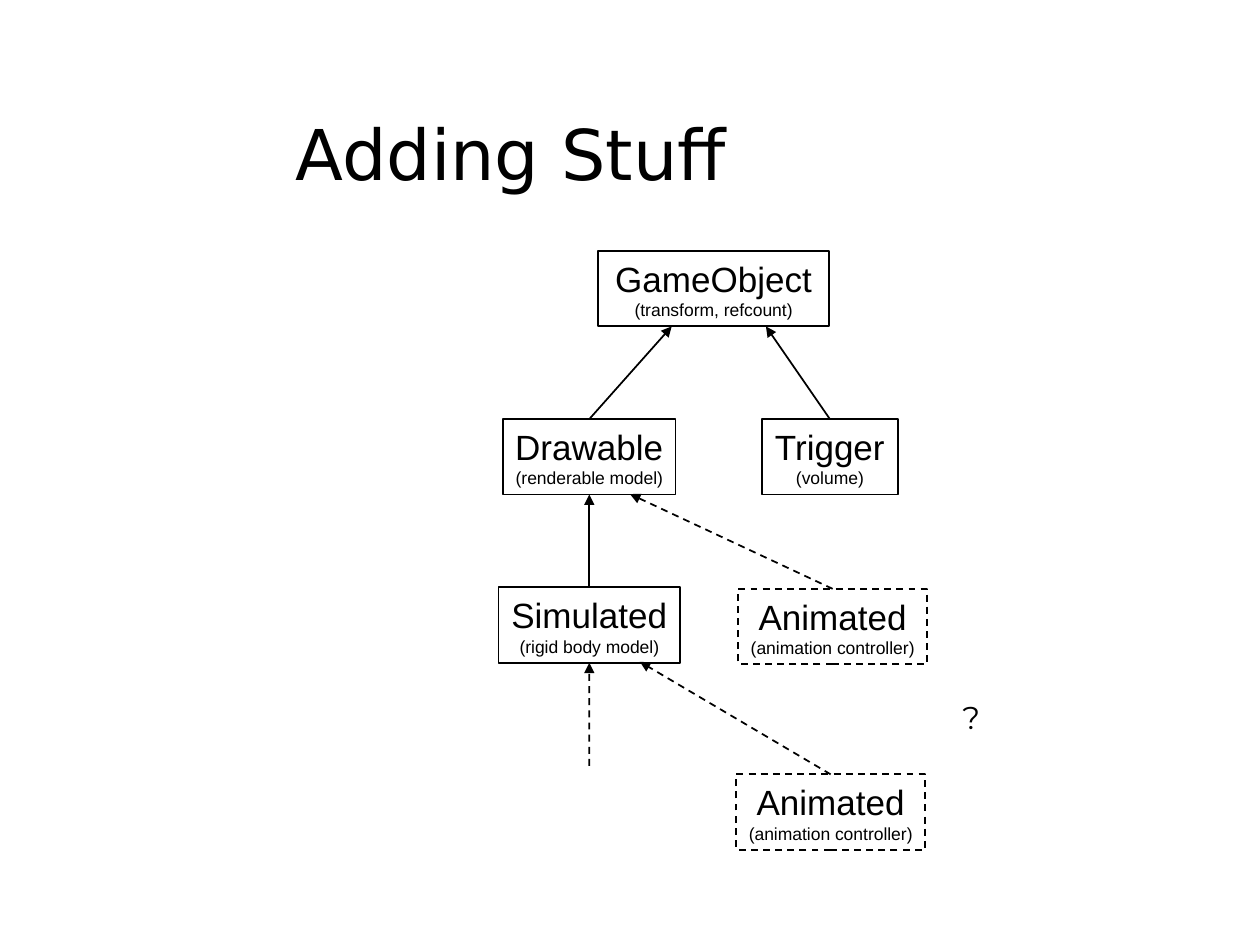
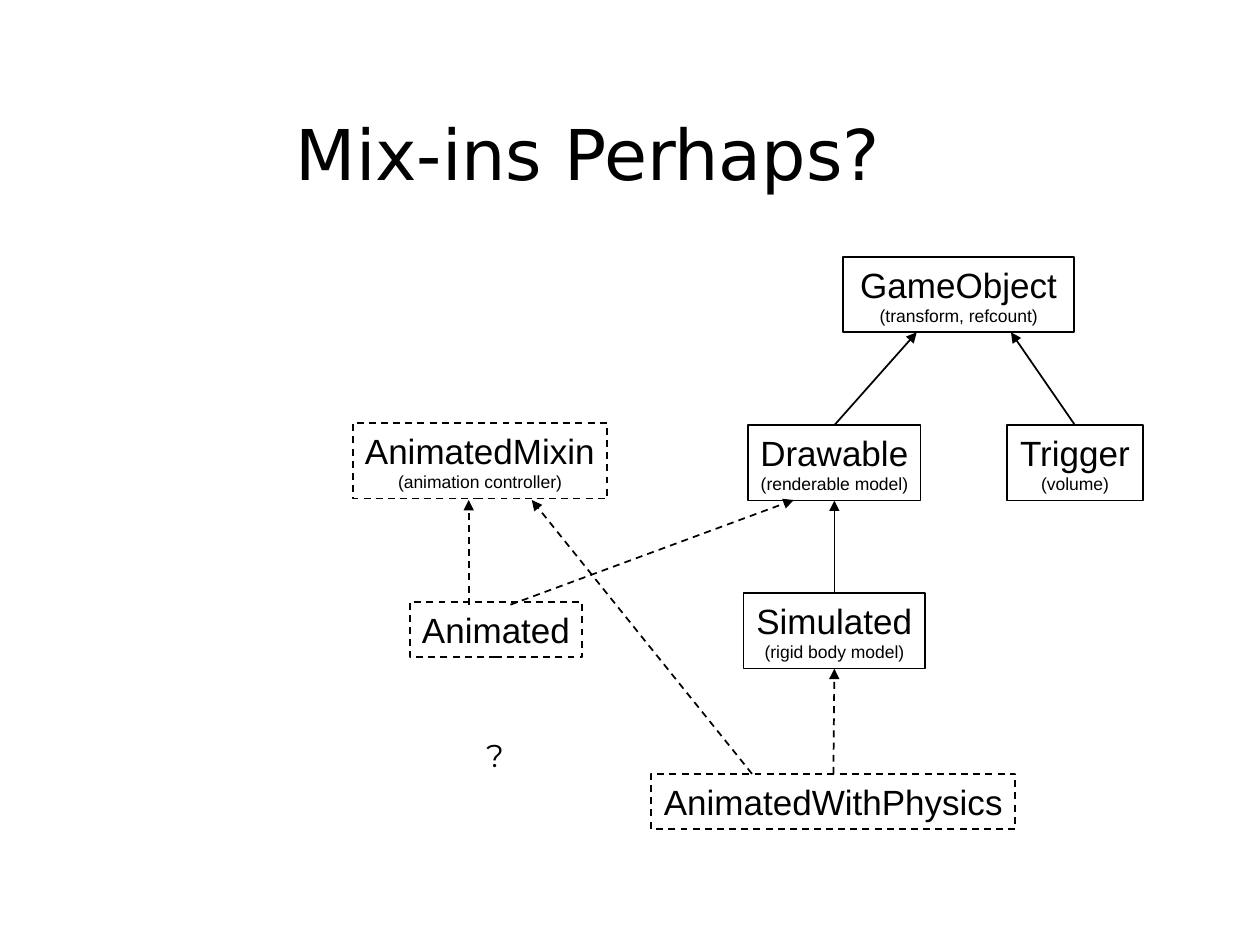
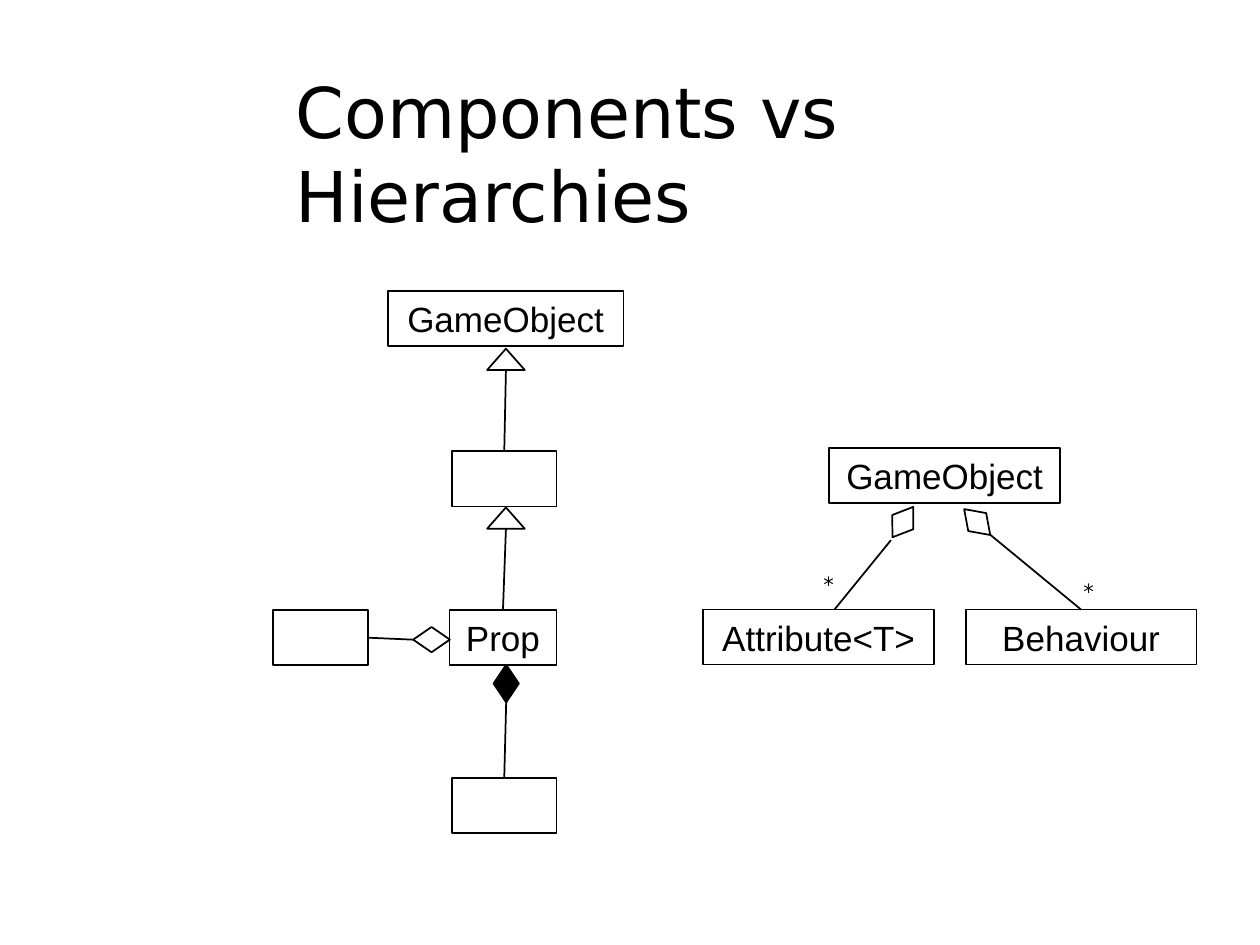
from dataclasses import dataclass

import pptx
import pptx.dml.color
import pptx.enum.dml
import pptx.enum.shapes
import pptx.enum.text
import pptx.oxml.ns
import pptx.util
from lxml import etree

Cm = pptx.util.Cm
Pt = pptx.util.Pt
PRESETS = pptx.enum.shapes.MSO_SHAPE
ALIGN = pptx.enum.text.PP_ALIGN
ANCHOR = pptx.enum.text.MSO_ANCHOR
AUTO_SIZE = pptx.enum.text.MSO_AUTO_SIZE
TOP, LEFT, BOTTOM, RIGHT = range(4)


@dataclass(frozen=True)
class Theme:
    ink: pptx.dml.color.RGBColor = pptx.dml.color.RGBColor(0, 0, 0)
    title_font: str = "DejaVu Sans"
    class_font: str = "Arial"
    query_font: str = "Montserrat"
    title_size: int = 40
    class_size: int = 20
    query_size: int = 18
    star_size: int = 12
    detail_size: int = 10
    line_width: int = 1
    row: float = 1.52       # height in cm of a class box with a detail line
    short_row: float = 1.11  # height in cm of a class box with a name only
    side_inset: float = 0.2


THEME = Theme()


# Shared parts
def qn(tag):
    return pptx.oxml.ns.qn(tag)


def style_text(paragraph, font, size, align=ALIGN.LEFT):
    paragraph.alignment = align
    for run in paragraph.runs:
        run.font.name = font
        run.font.size = Pt(size)
        run.font.color.rgb = THEME.ink


def style_line(line, dashed=False):
    line.color.rgb = THEME.ink
    line.width = Pt(THEME.line_width)
    if dashed:
        line.dash_style = pptx.enum.dml.MSO_LINE.DASH


def add_title_slide(deck, title):
    slide = deck.slides.add_slide(deck.slide_layouts[5])
    heading = slide.shapes.title
    heading.left, heading.top = Cm(5.71), Cm(1.07)
    heading.width, heading.height = Cm(19.05), Cm(4.01)
    frame = heading.text_frame
    frame.text = title
    frame.word_wrap = True
    frame.auto_size = AUTO_SIZE.NONE
    frame.vertical_anchor = ANCHOR.MIDDLE
    style_text(frame.paragraphs[0], THEME.title_font, THEME.title_size)
    return slide


def add_symbol(slide, preset, left, top, width, height, filled=False, dashed=False):
    symbol = slide.shapes.add_shape(preset, Cm(left), Cm(top), Cm(width), Cm(height))
    symbol.shadow.inherit = False
    if filled:
        symbol.fill.solid()
        symbol.fill.fore_color.rgb = THEME.ink
    else:
        symbol.fill.background()
    style_line(symbol.line, dashed)
    return symbol


def add_class(slide, left, top, width, name="", detail="", dashed=False):
    height = THEME.row if detail else THEME.short_row
    box = add_symbol(slide, PRESETS.RECTANGLE, left, top, width, height, dashed=dashed)
    if not name:
        return box
    frame = box.text_frame
    frame.text = f"{name}\n{detail}" if detail else name
    frame.word_wrap = True
    frame.auto_size = AUTO_SIZE.SHAPE_TO_FIT_TEXT
    frame.vertical_anchor = ANCHOR.MIDDLE
    frame.margin_left = frame.margin_right = Cm(THEME.side_inset)
    for paragraph, size in zip(frame.paragraphs, (THEME.class_size, THEME.detail_size)):
        style_text(paragraph, THEME.class_font, size, ALIGN.CENTER)
    return box


def add_link(slide, start, end, dashed=False, arrow=True):
    """Each end is a (shape, side) pair or an (x, y) point in cm."""
    joined = [not isinstance(place[0], (int, float)) for place in (start, end)]
    points = [(0, 0) if is_joined else (Cm(place[0]), Cm(place[1]))
              for place, is_joined in zip((start, end), joined)]
    link = slide.shapes.add_connector(
        pptx.enum.shapes.MSO_CONNECTOR.STRAIGHT, *points[0], *points[1])
    if joined[0]:
        link.begin_connect(*start)
    if joined[1]:
        link.end_connect(*end)
    style_line(link.line, dashed)
    if arrow:
        etree.SubElement(link.line._get_or_add_ln(), qn("a:tailEnd"), type="triangle")
    etree.SubElement(link._element.spPr, qn("a:effectLst"))


def add_mark(slide, left, top, width, height, mark, font, size):
    label = slide.shapes.add_textbox(Cm(left), Cm(top), Cm(width), Cm(height))
    label.text_frame.text = mark
    label.text_frame.word_wrap = True
    style_text(label.text_frame.paragraphs[0], font, size)
    return label


def add_query(slide, left, top):
    query = add_mark(slide, left, top, 1.07, 1.8, "?", THEME.query_font, THEME.query_size)
    query.text_frame.word_wrap = False
    query.text_frame.vertical_anchor = ANCHOR.MIDDLE
    # Outlined glyph
    properties = query.text_frame.paragraphs[0].runs[0].font._element
    outline = etree.Element(qn("a:ln"), w=str(Pt(0.75)))
    fill = etree.SubElement(outline, qn("a:solidFill"))
    etree.SubElement(fill, qn("a:srgbClr"), val=str(THEME.ink))
    properties.insert(0, outline)


# Class hierarchy common to the first two slides
def add_hierarchy(slide, left, top):
    step, axis = 3.39, left + 1.85
    game_object = add_class(slide, left + 2.03, top, 4.65, "GameObject",
                            "(transform, refcount)")
    drawable = add_class(slide, axis - 1.74, top + step, 3.48, "Drawable",
                         "(renderable model)")
    trigger = add_class(slide, left + 5.33, top + step, 2.74, "Trigger", "(volume)")
    simulated = add_class(slide, axis - 1.83, top + 2 * step, 3.66, "Simulated",
                          "(rigid body model)")
    base = top + THEME.row
    add_link(slide, (drawable, TOP), (left + 3.51, base))
    add_link(slide, (trigger, TOP), (left + 5.41, base))
    add_link(slide, (simulated, TOP), (drawable, BOTTOM))
    return simulated


def build_adding_stuff(deck):
    slide = add_title_slide(deck, "Adding Stuff")
    simulated = add_hierarchy(slide, 10.03, 5.06)
    add_link(slide, (11.88, 15.44), (simulated, BOTTOM), dashed=True)
    # Possible places for animation, each with the point of its parent
    for left, top, parent in ((14.88, 11.87, (12.7, 9.96)), (14.84, 15.61, (12.9, 13.34))):
        animated = add_class(slide, left, top, 3.81, "Animated",
                             "(animation controller)", dashed=True)
        add_link(slide, (animated, TOP), parent, dashed=True)
    add_query(slide, 19.15, 13.55)


def build_mixins(deck):
    slide = add_title_slide(deck, "Mix-ins Perhaps?")
    simulated = add_hierarchy(slide, 14.97, 5.18)
    add_class(slide, 7.11, 8.53, 5.13, "AnimatedMixin", "(animation controller)", dashed=True)
    add_class(slide, 8.26, 12.14, 3.48, "Animated", dashed=True)
    physics = add_class(slide, 13.13, 15.6, 7.34, "AnimatedWithPhysics", dashed=True)
    # Inheritance from the mix-in and from the hierarchy
    parents = 10.08
    add_link(slide, (15.16, 15.6), (10.72, parents), dashed=True)
    add_link(slide, (9.45, 12.19), (9.45, parents), dashed=True)
    add_link(slide, (10.29, 12.19), (16, parents), dashed=True)
    add_link(slide, (physics, TOP), (simulated, BOTTOM), dashed=True)
    add_query(slide, 9.55, 14.31)


# Regions of the comparison slide
def add_prop_tree(slide, left, top):
    axis = left + 4.69
    add_class(slide, axis - 2.38, top, 4.75, "GameObject")
    middle = add_class(slide, left + 3.6, top + 3.23, 2.11)
    prop = add_class(slide, left + 3.55, top + 6.43, 2.16, "Prop")
    part = add_class(slide, left + 3.6, top + 9.81, 2.11)
    shared = add_class(slide, left, top + 6.43, 1.91)
    # Inheritance triangles
    for child, tip in ((middle, top + 1.16), (prop, top + 4.36)):
        add_symbol(slide, PRESETS.ISOSCELES_TRIANGLE, axis - 0.38, tip, 0.76, 0.43)
        add_link(slide, (child, TOP), (axis, tip + 0.43), arrow=False)
    # Aggregation and composition diamonds
    aggregation = add_symbol(slide, PRESETS.DIAMOND, left + 2.82, top + 6.77, 0.74, 0.51)
    composition = add_symbol(slide, PRESETS.DIAMOND, axis - 0.25, top + 7.53, 0.51, 0.76,
                             filled=True)
    add_link(slide, (aggregation, LEFT), (shared, RIGHT), arrow=False)
    add_link(slide, (composition, BOTTOM), (part, TOP), arrow=False)


def add_component_model(slide, left, top):
    width, parts = 4.65, top + 3.26
    add_class(slide, left + 2.54, top, width, "GameObject")
    add_class(slide, left, parts, width, "Attribute<T>")
    behaviour = add_class(slide, left + 5.29, parts, width, "Behaviour")
    add_link(slide, (left + 3.78, top + 1.86), (left + 2.64, parts), arrow=False)
    add_link(slide, (left + 5.77, top + 1.74), (behaviour, TOP), arrow=False)
    for x, angle in ((3.65, 304.3), (5.15, 44.8)):
        diamond = add_symbol(slide, PRESETS.DIAMOND, left + x, top + 1.24, 0.74, 0.51)
        diamond.rotation = angle
    for x, y in ((2.17, 2.37), (7.41, 2.5)):
        add_mark(slide, left + x, top + y, 0.74, 0.76, "*", THEME.title_font, THEME.star_size)


def build_components(deck):
    slide = add_title_slide(deck, "Components vs Hierarchies")
    add_prop_tree(slide, 5.51, 5.87)
    add_component_model(slide, 14.18, 9.03)


def main():
    deck = pptx.Presentation()
    deck.slide_width, deck.slide_height = Cm(25.4), Cm(19.05)
    build_adding_stuff(deck)
    build_mixins(deck)
    build_components(deck)
    deck.save("out.pptx")


if __name__ == "__main__":
    main()
